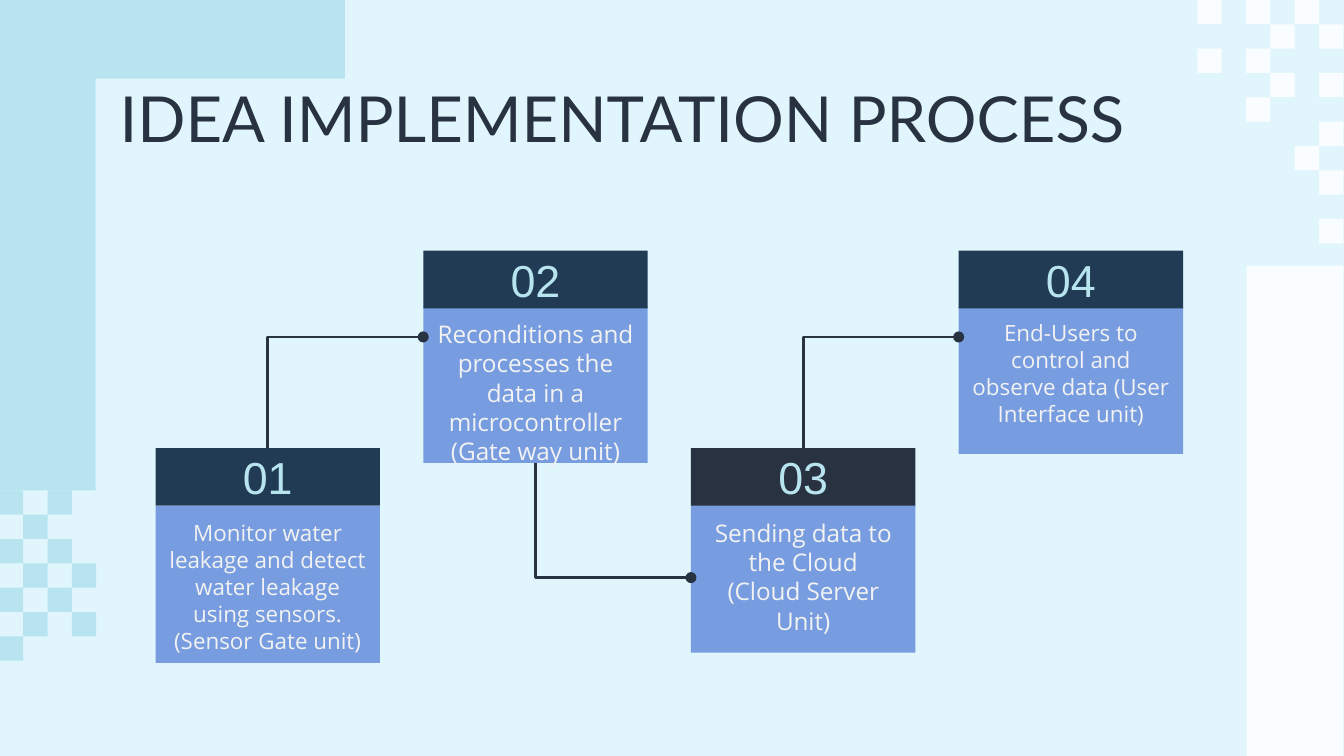
from pptx import Presentation
from pptx.dml.color import RGBColor
from pptx.enum.shapes import MSO_CONNECTOR, MSO_SHAPE
from pptx.enum.text import MSO_ANCHOR, MSO_AUTO_SIZE, PP_ALIGN
from pptx.oxml.ns import qn
from pptx.util import Cm, Pt
from lxml import etree

RECTANGLE = MSO_SHAPE.RECTANGLE
ELBOW = MSO_CONNECTOR.ELBOW
TOP, MIDDLE = MSO_ANCHOR.TOP, MSO_ANCHOR.MIDDLE
LEFT, CENTER = PP_ALIGN.LEFT, PP_ALIGN.CENTER
NO_FIT = MSO_AUTO_SIZE.NONE

PALE_BLUE = RGBColor(0xE0, 0xF6, 0xFC)
AQUA = RGBColor(0xB8, 0xE4, 0xF0)
NEAR_WHITE = RGBColor(0xF9, 0xFD, 0xFF)
LIGHT_GRAY = RGBColor(0xF2, 0xF2, 0xF2)
CORNFLOWER = RGBColor(0x77, 0x9D, 0xE0)
NAVY = RGBColor(0x21, 0x3B, 0x55)
CHARCOAL = RGBColor(0x29, 0x32, 0x41)

CELL = 0.46
LEFT_CHECKER = ["X.X.", ".X..", "X.X.", ".X.X", "X.X.", ".X.X", "X..."]
RIGHT_CHECKER = ["X.X.X.", "...X.X", "X.X...", "...X.X", "..X...",
                 ".....X", "....X.", ".....X", "......", ".....X"]

CARD_LEFT, CARD_STEP, CARD_WIDTH = 2.94, 5.06, 4.24
HEADER_HEIGHT = 1.09
UPPER, LOWER = 4.74, 8.47
STEPS = [
    ("01", LOWER, 9.57, 2.96, NAVY, 12,
     ["Monitor water leakage and detect water leakage using sensors.", "(Sensor Gate unit)"]),
    ("02", UPPER, 5.79, 2.96, NAVY, 13,
     ["Reconditions and processes the data in a microcontroller", "(Gate way unit)"]),
    ("03", LOWER, 9.55, 2.79, CHARCOAL, 13,
     ["Sending data to the Cloud", "(Cloud Server Unit)"]),
    ("04", UPPER, 5.79, 2.79, NAVY, 12,
     ["End-Users to control and observe data (User Interface unit)"]),
]
LINKS = [(0, LOWER, 6.37), (1, 8.75, 10.92), (2, LOWER, 6.37)]


class SlideBuilder:
    """Draws styled elements on the current slide."""

    def __init__(self, slide):
        self.slide = slide
        self.title_font, self.body_font, self.number_font = "Lato", "Open Sans", "Arial"

    def background(self, color):
        fill = self.slide.background.fill
        fill.solid()
        fill.fore_color.rgb = color

    def add_text(self, shape, lines, font, size, color, alignment, anchor):
        frame = shape.text_frame
        frame.word_wrap = True
        frame.auto_size = NO_FIT
        frame.vertical_anchor = anchor
        frame.margin_left = frame.margin_right = Cm(0.25)
        frame.margin_top = frame.margin_bottom = Cm(0.25)
        for index, line in enumerate(lines):
            paragraph = frame.add_paragraph() if index else frame.paragraphs[0]
            paragraph.alignment = alignment
            run = paragraph.add_run()
            run.text = line
            run.font.name = font
            run.font.size = Pt(size)
            run.font.color.rgb = color

    def title(self, text, left, top, width, height):
        shape = self.slide.shapes.title
        shape.left, shape.top = Cm(left), Cm(top)
        shape.width, shape.height = Cm(width), Cm(height)
        self.add_text(shape, [text], self.title_font, 34, CHARCOAL, LEFT, TOP)

    def block(self, left, top, width, height, color):
        shape = self.slide.shapes.add_shape(
            RECTANGLE, Cm(left), Cm(top), Cm(width), Cm(height))
        shape.shadow.inherit = False
        shape.fill.solid()
        shape.fill.fore_color.rgb = color
        shape.line.fill.background()
        return shape

    def checker(self, left, top, pattern, color):
        for row, cells in enumerate(pattern):
            for column, cell in enumerate(cells):
                if cell == "X":
                    self.block(left + column * CELL, top + row * CELL, CELL, CELL, color)

    def body(self, left, top, height, lines, size):
        shape = self.block(left, top, CARD_WIDTH, height, CORNFLOWER)
        self.add_text(shape, lines, self.body_font, size, LIGHT_GRAY, CENTER, TOP)

    def header(self, left, top, number, color):
        shape = self.block(left, top, CARD_WIDTH, HEADER_HEIGHT, color)
        self.add_text(shape, [number], self.number_font, 24, AQUA, CENTER, MIDDLE)

    def link(self, dot_x, dot_y, end_x, end_y):
        connector = self.slide.shapes.add_connector(
            ELBOW, Cm(dot_x), Cm(dot_y), Cm(end_x), Cm(end_y))
        connector.line.color.rgb = CHARCOAL
        connector.line.width = Pt(1.5)
        properties = connector._element.spPr
        properties.find(qn("a:prstGeom")).set("prst", "bentConnector2")
        etree.SubElement(properties.find(qn("a:ln")), qn("a:headEnd"), type="oval")
        etree.SubElement(properties, qn("a:effectLst"))


def card_left(index):
    return CARD_LEFT + index * CARD_STEP


def main():
    presentation = Presentation()
    presentation.slide_width, presentation.slide_height = Cm(25.4), Cm(14.29)
    builder = SlideBuilder(presentation.slides.add_slide(presentation.slide_layouts[5]))

    builder.background(PALE_BLUE)
    builder.block(-0.02, 0, 1.83, 9.27, AQUA)
    builder.block(-0.02, 0, 6.54, 1.49, AQUA)
    builder.checker(-0.02, 9.27, LEFT_CHECKER, AQUA)
    builder.block(23.56, 5.02, 1.83, 9.27, NEAR_WHITE)
    builder.checker(22.63, 0, RIGHT_CHECKER, NEAR_WHITE)
    builder.title("IDEA IMPLEMENTATION PROCESS", 2.01, 1.24, 21.41, 1.6)

    for index, (_, _, top, height, _, size, lines) in enumerate(STEPS):
        builder.body(card_left(index), top, height, lines, size)
    for index, end_y, dot_y in LINKS:
        builder.link(card_left(index + 1), dot_y, card_left(index) + CARD_WIDTH / 2, end_y)
    for index, (number, top, _, _, color, _, _) in enumerate(STEPS):
        builder.header(card_left(index), top, number, color)

    presentation.save("out.pptx")


if __name__ == "__main__":
    main()
